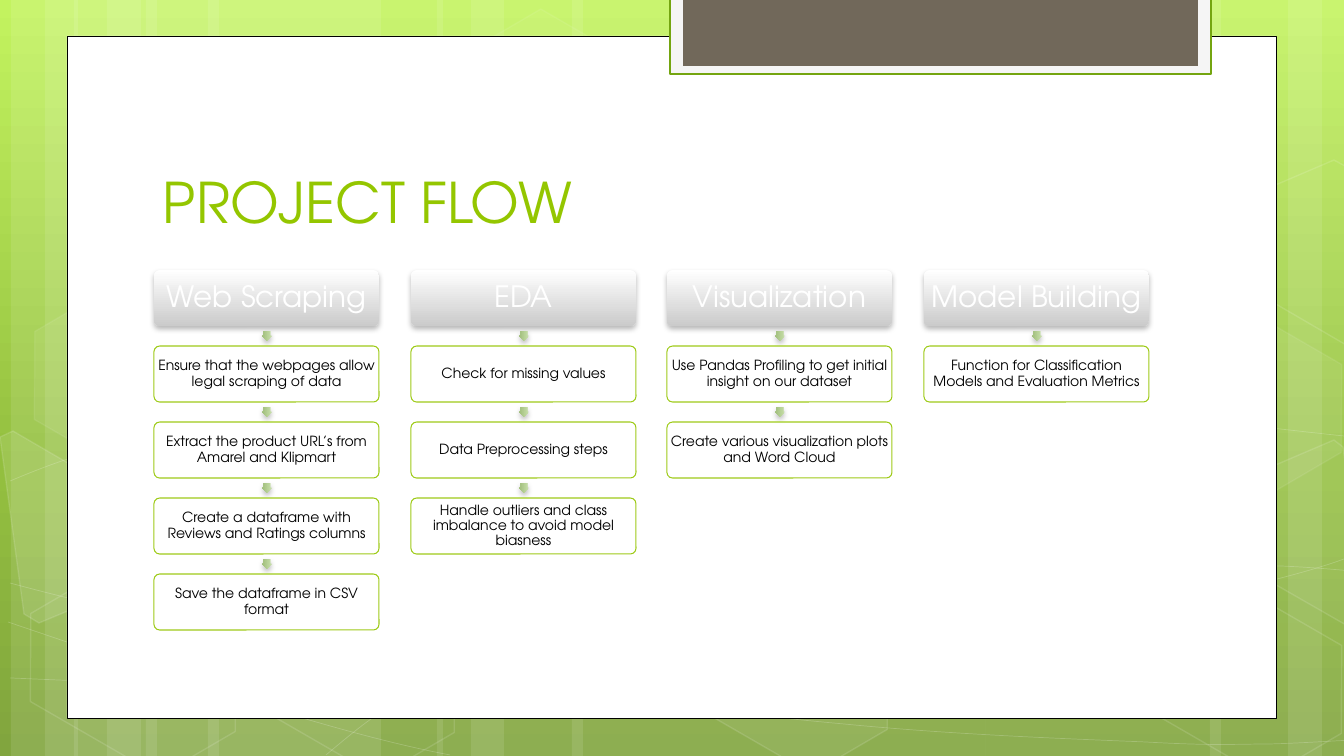
from lxml.etree import SubElement
from pptx import Presentation
from pptx.dml.color import RGBColor
from pptx.enum.shapes import MSO_SHAPE
from pptx.enum.text import MSO_ANCHOR, MSO_AUTO_SIZE, PP_ALIGN
from pptx.oxml.ns import qn
from pptx.util import Pt

PX = 914400 / 100.8
FONT = "TeX Gyre Adventor"
WHITE, LIME = "FFFFFF", "94C600"

BARS = [(146, 235), (11, 67), (45, 112), (208, 235), (74, 67), (107, 112),
        (986, 235), (1288, 56), (1210, 112), (572, 414), (437, 67), (471, 112)]

WAVES = [
    [(10, 678), (83, 681), (155, 685), (256, 683), (357, 682), (481, 680), (615, 670),
     (750, 660), (940, 641), (1063, 622), (1188, 603), (1313, 573), (1354, 555)],
    [(10, 481), (48, 465), (87, 450), (163, 434), (240, 419), (348, 397), (467, 390),
     (587, 383), (731, 382), (879, 390), (1027, 398), (1273, 429), (1354, 437)],
    [(8, 622), (170, 677), (333, 733), (450, 755)],
    [(10, 583), (51, 594), (94, 605), (172, 621), (250, 636), (367, 661), (479, 678),
     (591, 696), (733, 714), (844, 724), (956, 735), (1075, 739), (1146, 742),
     (1217, 746), (1235, 744), (1270, 744), (1304, 743), (1330, 741), (1354, 740)],
    [(326, 755), (350, 735), (373, 715), (406, 697), (438, 678), (484, 658), (521, 644),
     (558, 630), (582, 624), (631, 614), (680, 604), (771, 590), (817, 583),
     (865, 576), (872, 576), (914, 574), (956, 570), (1021, 568), (1067, 566),
     (1114, 565), (1191, 566), (1191, 566), (1222, 566), (1249, 566), (1280, 566),
     (1305, 567), (1328, 569), (1340, 570), (1352, 571), (1348, 570), (1352, 571)],
]

HEXES = [(449, 36, 4, 8), (667, 594, 6, 12), (15, 596, 0, 12), (19, 314, 7, 8),
         (234, 597, 0, 12), (1121, 598, 0, 12), (1121, 317, 7, 8)]

SHARDS = [
    ([(0, 437), (13, 431), (116, 491), (128, 586), (39, 623), (24, 614)], 10),
    ([(1245, 478), (1334, 440), (1343, 447), (1368, 630), (1360, 633), (1257, 574)], 4),
    ([(1245, 198), (1334, 160), (1345, 166), (1368, 349), (1360, 353), (1257, 293)], 0),
]

FLOW = [
    ("Web Scraping", [
        "Ensure that the webpages allow legal scraping of data",
        "Extract the product URL’s from Amarel and Klipmart",
        "Create a dataframe with Reviews and Ratings columns",
        "Save the dataframe in CSV format"]),
    ("EDA", [
        "Check for missing values",
        "Data Preprocessing steps",
        "Handle outliers and class imbalance to avoid model biasness"]),
    ("Visualization", [
        "Use Pandas Profiling to get initial insight on our dataset",
        "Create various visualization plots and Word Cloud"]),
    ("Model Building", [
        "Function for Classification Models and Evaluation Metrics"]),
]


def px(n):
    return round(n * PX)


def tint(fill, owner, spot, color, alpha):
    if not color or not alpha:
        fill.background()
        return
    fill.solid()
    fill.fore_color.rgb = RGBColor.from_string(color)
    if alpha < 100:
        node = owner.element.spPr.find(spot)[0]
        SubElement(node, qn("a:alpha"), val=str(alpha * 1000))


def paint(shape, color=None, alpha=100, edge=None, width=1, fade=100):
    shape.shadow.inherit = False
    solid = qn("a:solidFill")
    tint(shape.fill, shape, solid, color, alpha)
    tint(shape.line.fill, shape, qn("a:ln") + "/" + solid, edge, fade)
    if edge:
        shape.line.width = Pt(width)


def blend(fill, owner, stops):
    fill.gradient()
    fill.gradient_angle = 270
    bands = owner.element.find(".//" + qn("a:gsLst"))
    for band in list(bands):
        bands.remove(band)
    for pos, color in stops:
        band = SubElement(bands, qn("a:gs"), pos=str(pos * 1000))
        SubElement(band, qn("a:srgbClr"), val=color)


def raise_up(shape, stops):
    paint(shape)
    blend(shape.fill, shape, stops)
    effects = shape.element.spPr.find(qn("a:effectLst"))
    cast = SubElement(effects, qn("a:outerShdw"), blurRad=str(Pt(4)), dist=str(Pt(2)),
                      dir="5400000", rotWithShape="0")
    black = SubElement(cast, qn("a:srgbClr"), val="000000")
    SubElement(black, qn("a:alpha"), val="28000")


def block(slide, kind, x, y, w, h):
    return slide.shapes.add_shape(kind, px(x), px(y), px(w), px(h))


def trace(slide, points, close):
    dots = [(px(x), px(y)) for x, y in points]
    pen = slide.shapes.build_freeform(*dots[0])
    pen.add_line_segments(dots[1:], close=close)
    return pen.convert_to_shape()


def curve(slide, knots):
    wave = trace(slide, knots, False)
    route = wave.element.find(".//" + qn("a:pathLst"))[0]
    legs = route.findall(qn("a:lnTo"))
    for i in range(0, len(legs), 3):
        arc = SubElement(route, qn("a:cubicBezTo"))
        for leg in legs[i:i + 3]:
            arc.append(leg[0])
            route.remove(leg)
    return wave


def write(shape, text, size, color, inset):
    frame = shape.text_frame
    frame.word_wrap = True
    frame.auto_size = MSO_AUTO_SIZE.NONE
    frame.margin_left = frame.margin_right = px(inset)
    frame.margin_top = frame.margin_bottom = px(min(inset, 5))
    frame.vertical_anchor = MSO_ANCHOR.MIDDLE
    para = frame.paragraphs[0]
    para.alignment = PP_ALIGN.CENTER
    para.line_spacing = 0.9
    run = para.add_run()
    run.text = text
    run.font.size = Pt(size)
    run.font.name = FONT
    run.font.color.rgb = RGBColor.from_string(color)
    return frame


def backdrop(slide, h):
    blend(slide.background.fill, slide, [(0, "C3F35F"), (62, "93BF3F"), (100, "81A53E")])
    for x, w in BARS:
        paint(block(slide, MSO_SHAPE.RECTANGLE, x, 0, w, h), WHITE, 10)
    for knots in WAVES:
        paint(curve(slide, knots), edge=WHITE, width=0.5, fade=20)
    for x, y, alpha, fade in HEXES:
        cell = block(slide, MSO_SHAPE.HEXAGON, x, y, 236, 153)
        cell.adjustments[0] = 0.285
        cell.rotation = 30
        paint(cell, WHITE, alpha, WHITE, 1, fade)
    for points, alpha in SHARDS:
        paint(trace(slide, points, True), WHITE, alpha, WHITE, 1, 12)


def panel(slide, x, y, w, h):
    paint(block(slide, MSO_SHAPE.RECTANGLE, x, y, w, h), WHITE, edge="000000", width=0.5)
    tab = block(slide, MSO_SHAPE.RECTANGLE, x + 603, y - 38, 541, 76)
    paint(tab, "F5F5F5", edge="74A510", width=1.25)
    paint(block(slide, MSO_SHAPE.RECTANGLE, x + 616, y - 38, 515, 68), "71685A")


def heading(slide, x, y, w, h):
    title = slide.shapes.title
    title.left, title.top, title.width, title.height = px(x), px(y), px(w), px(h)
    frame = write(title, "PROJECT FLOW", 40, LIME, 10)
    frame.vertical_anchor = MSO_ANCHOR.BOTTOM
    frame.paragraphs[0].alignment = PP_ALIGN.LEFT
    frame.paragraphs[0].line_spacing = 1.0
    title.element.getparent().append(title.element)


def column(slide, x, y, w, h, step, name, tasks):
    for row, text in enumerate([name] + tasks):
        top = y + row * step
        if row:
            arrow = block(slide, MSO_SHAPE.RIGHT_ARROW, x + w // 2 - 4, top - 15, 10, 10)
            arrow.adjustments[0] = 0.67
            arrow.rotation = 90
            raise_up(arrow, [(0, "C8DFAB"), (100, "A0BE7B")])
        card = block(slide, MSO_SHAPE.ROUNDED_RECTANGLE, x, top, w, h)
        card.adjustments[0] = 0.1
        if row:
            paint(card, WHITE, 90, LIME, 0.75, 90)
            write(card, text, 10, "000000", 1)
        else:
            raise_up(card, [(0, WHITE), (100, "CBCBCB")])
            write(card, text, 21, WHITE, 3)


def flow(slide, x, y, w):
    wide = 225
    for i, (name, tasks) in enumerate(FLOW):
        left = x + round(i * (w - wide) / (len(FLOW) - 1))
        column(slide, left, y, wide, 56, 76, name, tasks)


def main():
    deck = Presentation()
    deck.slide_width, deck.slide_height = px(1344), px(756)
    slide = deck.slides.add_slide(deck.slide_layouts[5])
    backdrop(slide, 756)
    panel(slide, 67, 36, 1209, 682)
    heading(slide, 153, 114, 1032, 126)
    flow(slide, 154, 270, 995)
    deck.save("out.pptx")


if __name__ == "__main__":
    main()
